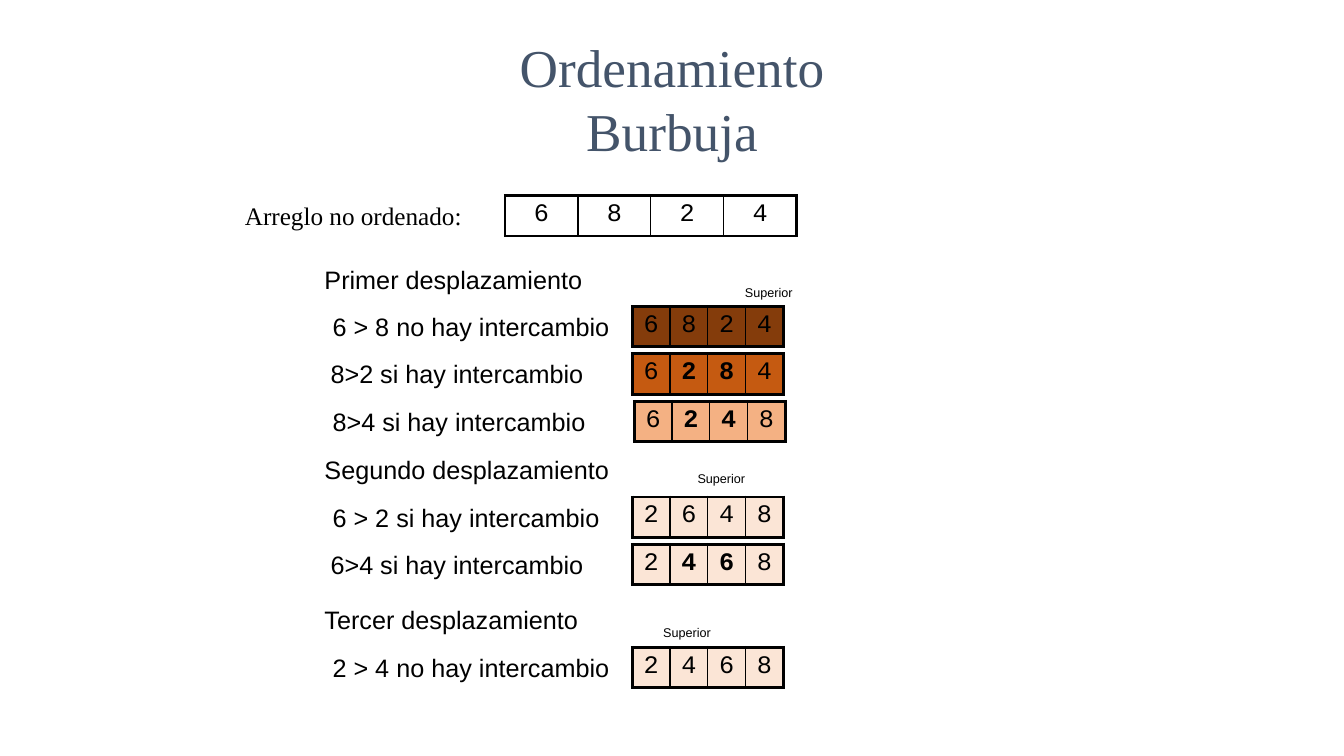
from lxml import etree
from pptx import Presentation
from pptx.dml.color import RGBColor
from pptx.enum.text import MSO_ANCHOR, MSO_AUTO_SIZE, PP_ALIGN
from pptx.oxml.ns import qn
from pptx.util import Inches, Pt

CENTER, BOTTOM = PP_ALIGN.CENTER, MSO_ANCHOR.BOTTOM
GROW = MSO_AUTO_SIZE.SHAPE_TO_FIT_TEXT
COLORS = {"title": "44546A", "ink": "000000", "dark": "843C0B",
          "rust": "C55A11", "peach": "F4B183", "cream": "FBE5D6"}
ROW_HEIGHT, STEP_PITCH = 0.4, 0.47

PASSES = [
    (2.57, "Primer desplazamiento", (4.17, 0.21), [
        ("6 > 8 no hay intercambio", 0.08, 3.15, "6824", "", "dark"),
        ("8>2 si hay intercambio", 0.06, 3.15, "6284", "28", "rust"),
        ("8>4 si hay intercambio", 0.08, 3.17, "6248", "24", "peach")]),
    (4.46, "Segundo desplazamiento", (3.7, 0.16), [
        ("6 > 2 si hay intercambio", 0.08, 3.15, "2648", "", "cream"),
        ("6>4 si hay intercambio", 0.06, 3.15, "2468", "46", "cream")]),
    (5.95, "Tercer desplazamiento", (3.36, 0.2), [
        ("2 > 4 no hay intercambio", 0.08, 3.15, "2468", "", "cream")]),
]


def add_run(paragraph, text, size, font, color="ink", bold=False):
    """Add one formatted run to a paragraph."""
    run = paragraph.add_run()
    run.text = text
    run.font.size, run.font.name, run.font.bold = Pt(size), font, bold
    run.font.color.rgb = RGBColor.from_string(COLORS[color])


def add_label(slide, box, text, size=18, font="Arial"):
    """Add a left-aligned line of text in the given box."""
    frame = slide.shapes.add_textbox(*map(Inches, box)).text_frame
    frame.word_wrap = True
    frame.auto_size = GROW
    add_run(frame.paragraphs[0], text, size, font)


def add_title(slide, box):
    """Add the two-line title, anchored at the bottom of its box."""
    frame = slide.shapes.add_textbox(*map(Inches, box)).text_frame
    frame.word_wrap = True
    frame.vertical_anchor = BOTTOM
    heading = frame.paragraphs[0]
    heading.alignment = CENTER
    heading.line_spacing = 1.0
    add_run(heading, "Ordenamiento", 38, "Times New Roman", "title")
    heading.add_line_break()
    add_run(heading, "Burbuja", 38, "Times New Roman", "title")


def add_border(cell, side, points):
    """Draw one border of a table cell."""
    line = etree.SubElement(cell._tc.get_or_add_tcPr(), qn(f"a:ln{side}"), w=str(Pt(points)))
    fill = etree.SubElement(line, qn("a:solidFill"))
    etree.SubElement(fill, qn("a:srgbClr"), val=COLORS["ink"])


def add_array(slide, box, digits, swapped="", color=None):
    """Draw an array as a one-row table, with swapped digits in bold."""
    table = slide.shapes.add_table(1, len(digits), *map(Inches, box)).table
    table.first_row = table.horz_banding = False
    last = len(digits) - 1
    for index, digit in enumerate(digits):
        table.columns[index].width = Inches(box[2] / len(digits))
        cell = table.cell(0, index)
        add_border(cell, "L", 2.25 if index == 0 else 1)
        add_border(cell, "R", 2.25 if index == last else 1)
        add_border(cell, "T", 2.25)
        add_border(cell, "B", 2.25)
        if color:
            cell.fill.solid()
            cell.fill.fore_color.rgb = RGBColor.from_string(COLORS[color])
        else:
            cell.fill.background()
        paragraph = cell.text_frame.paragraphs[0]
        paragraph.alignment = CENTER
        add_run(paragraph, digit, 18, "Courier New", bold=digit in swapped)


def add_unsorted(slide, left, top):
    """Add the starting array and its label."""
    add_label(slide, (left, top, 2.52, ROW_HEIGHT), "Arreglo no ordenado:", font="Times New Roman")
    add_array(slide, (left + 2.68, top, 2.89, ROW_HEIGHT), "6824")


def add_pass(slide, left, top, heading, upper_offset, steps):
    """Add one pass: heading, upper-bound marker and its comparisons."""
    add_label(slide, (left, top, 4.17, ROW_HEIGHT), heading)
    for row, (text, indent, array_offset, digits, swapped, color) in enumerate(steps, 1):
        step_top = top + row * STEP_PITCH
        add_label(slide, (left + indent, step_top, 2.99, ROW_HEIGHT), text)
        add_array(slide, (left + array_offset, step_top, 1.5, ROW_HEIGHT), digits, swapped, color)
    dx, dy = upper_offset
    add_label(slide, (left + dx, top + dy, 0.94, 0.25), "Superior", size=9)


def main():
    """Build and save the bubble sort slide."""
    deck = Presentation()
    deck.slide_width, deck.slide_height = Inches(13.33), Inches(7.5)
    slide = deck.slides.add_slide(deck.slide_layouts[6])
    add_title(slide, (2.29, 0.33, 8.75, 1.33))
    add_unsorted(slide, 2.33, 1.94)
    for top, heading, upper_offset, steps in PASSES:
        add_pass(slide, 3.12, top, heading, upper_offset, steps)
    deck.save("out.pptx")


main()
